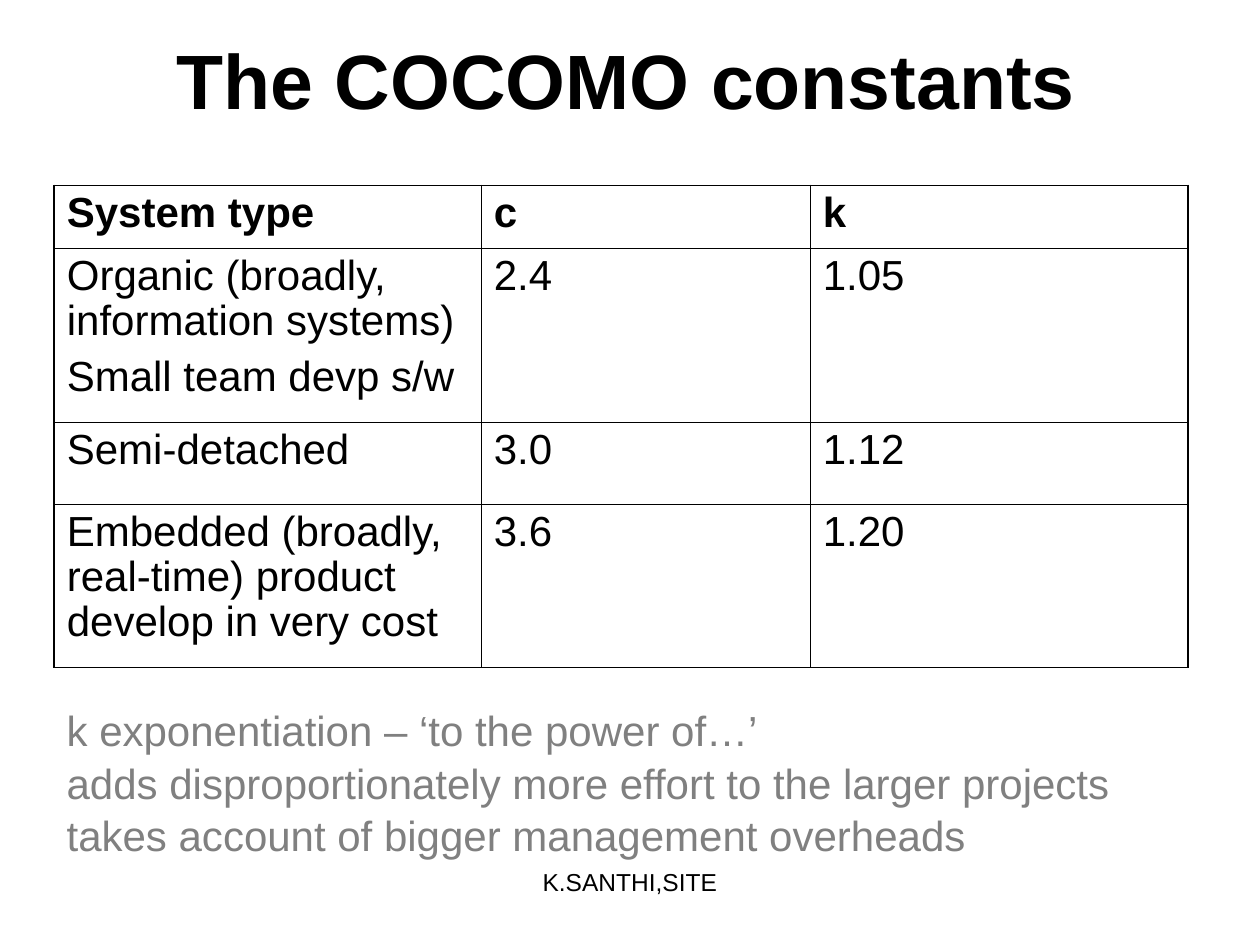
"""Build the slide on the COCOMO constants."""
import pptx
import pptx.dml.color
import pptx.enum.text
import pptx.oxml.ns
import pptx.util
import lxml.etree

Pt = pptx.util.Pt
ALIGN = pptx.enum.text.PP_ALIGN
ANCHOR = pptx.enum.text.MSO_ANCHOR

BLACK = "000000"
GREY = "808080"
OUTER_BORDER = 1.08
INNER_BORDER = 0.45

COLUMN_WIDTHS = [244, 188, 216]
ROW_HEIGHTS = [36, 99.5, 46.5, 93.5]
CONSTANTS = [
    ["System type", "c", "k"],
    ["Organic (broadly, information systems)\nSmall team devp s/w", "2.4", "1.05"],
    ["Semi-detached", "3.0", "1.12"],
    ["Embedded (broadly, real-time) product develop in very cost", "3.6", "1.20"],
]
REMARKS = """k exponentiation – ‘to the power of…’
adds disproportionately more effort to the larger projects
takes account of bigger management overheads"""


def rgb(color):
    """Turn a hex string into a colour."""
    return pptx.dml.color.RGBColor.from_string(color)


def write_text(frame, text, size, color=BLACK, bold=False, align=ALIGN.LEFT,
               line_spacing=1.0, space_before=0):
    """Fill a text frame with one paragraph per line and format it."""
    frame.text = text
    frame.word_wrap = True
    for index, paragraph in enumerate(frame.paragraphs):
        paragraph.alignment = align
        paragraph.line_spacing = line_spacing
        paragraph.space_before = Pt(space_before if index else 0)
        for run in paragraph.runs:
            run.font.name = "Arial"
            run.font.size = Pt(size)
            run.font.bold = bold
            run.font.color.rgb = rgb(color)


def add_text(slide, left, top, width, height, text, size, anchor=ANCHOR.TOP, **style):
    """Add a text box."""
    box = slide.shapes.add_textbox(Pt(left), Pt(top), Pt(width), Pt(height))
    box.text_frame.vertical_anchor = anchor
    write_text(box.text_frame, text, size, **style)


def add_border(cell, side, width):
    """Draw a solid black border on one side of a cell."""
    qn = pptx.oxml.ns.qn
    properties = cell._tc.get_or_add_tcPr()
    line = lxml.etree.SubElement(properties, qn(f"a:ln{side}"), w=str(int(Pt(width))))
    fill = lxml.etree.SubElement(line, qn("a:solidFill"))
    lxml.etree.SubElement(fill, qn("a:srgbClr"), val=BLACK)


def add_constants_table(slide, left, top):
    """Add the table of constants with a heavier outer frame."""
    last_row, last_column = len(ROW_HEIGHTS) - 1, len(COLUMN_WIDTHS) - 1
    table = slide.shapes.add_table(
        len(ROW_HEIGHTS), len(COLUMN_WIDTHS), Pt(left), Pt(top),
        Pt(sum(COLUMN_WIDTHS)), Pt(sum(ROW_HEIGHTS))).table
    table.horz_banding = False
    for column, width in zip(table.columns, COLUMN_WIDTHS):
        column.width = Pt(width)
    for row_index, height in enumerate(ROW_HEIGHTS):
        table.rows[row_index].height = Pt(height)
        for column_index, text in enumerate(CONSTANTS[row_index]):
            cell = table.cell(row_index, column_index)
            write_text(cell.text_frame, text, 24, bold=row_index == 0,
                       line_spacing=0.96, space_before=6)
            on_frame = {"L": column_index == 0, "R": column_index == last_column,
                        "T": row_index == 0, "B": row_index == last_row}
            for side, outer in on_frame.items():
                add_border(cell, side, OUTER_BORDER if outer else INNER_BORDER)
            cell.fill.background()


def main():
    """Build and save the slide."""
    presentation = pptx.Presentation()
    presentation.slide_width = Pt(720)
    presentation.slide_height = Pt(540)
    slide = presentation.slides.add_slide(presentation.slide_layouts[6])
    add_text(slide, 52, 0, 612, 90, "The COCOMO constants", 44,
             anchor=ANCHOR.MIDDLE, bold=True, align=ALIGN.CENTER)
    add_constants_table(slide, 31, 106)
    add_text(slide, 31, 398, 642, 94, REMARKS, 24, color=GREY, line_spacing=1.04)
    add_text(slide, 246, 492, 228, 37, "K.SANTHI,SITE", 14, align=ALIGN.CENTER)
    presentation.save("out.pptx")


if __name__ == "__main__":
    main()
